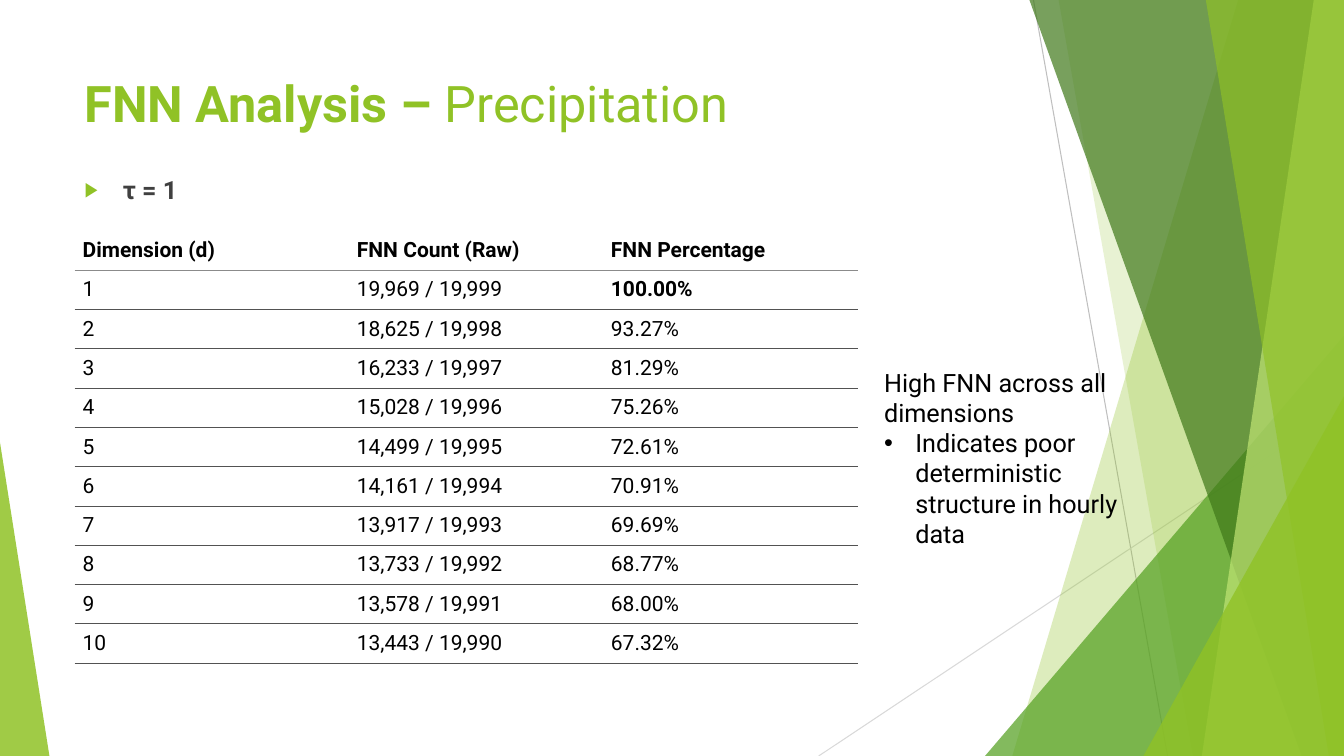
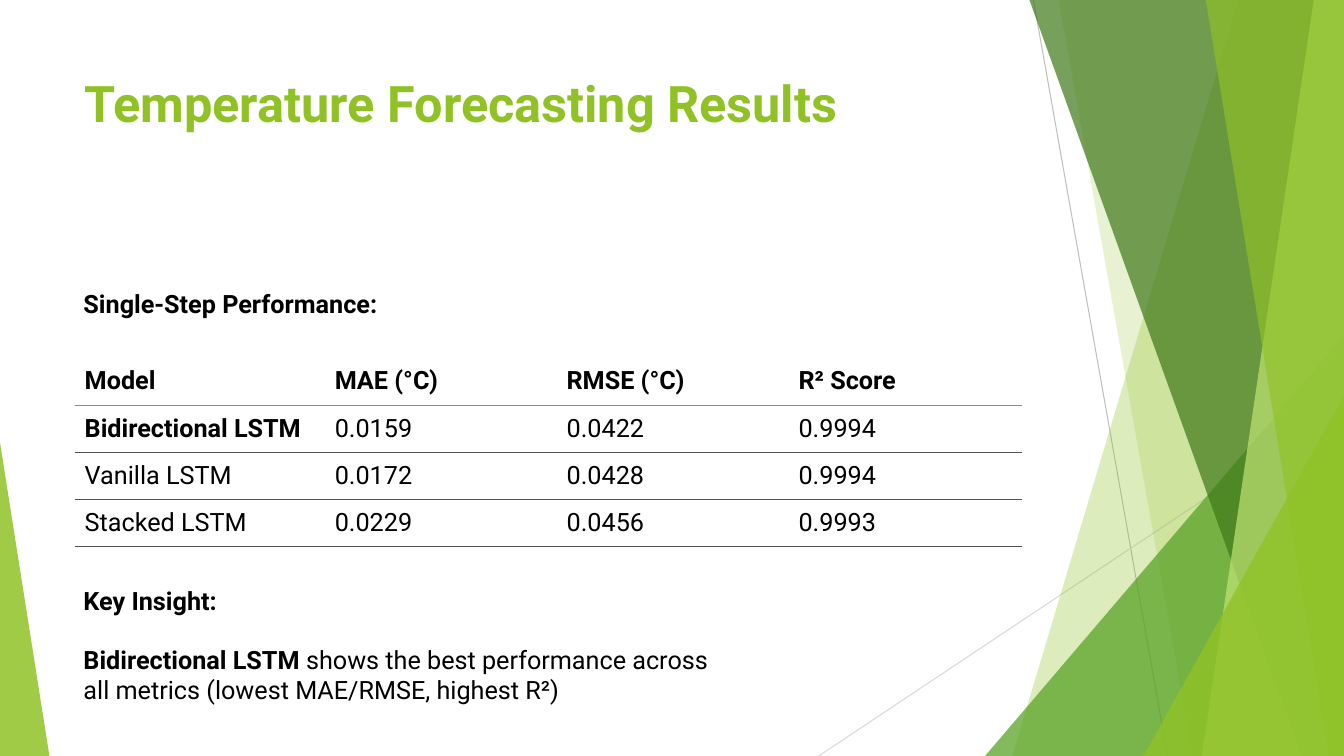
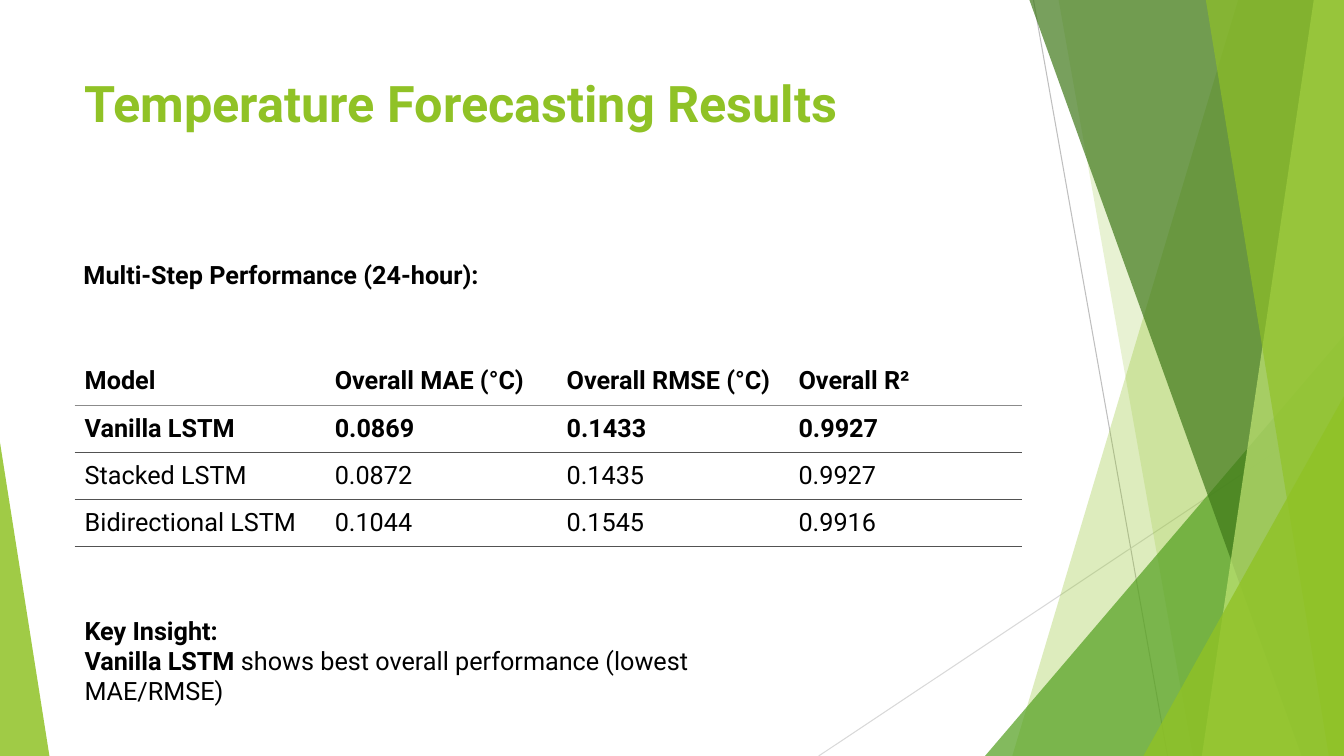
from dataclasses import dataclass

from lxml.etree import SubElement
from pptx import Presentation
from pptx.dml.color import RGBColor
from pptx.enum.shapes import MSO_CONNECTOR, MSO_SHAPE
from pptx.enum.text import MSO_ANCHOR
from pptx.oxml import parse_xml
from pptx.oxml.ns import nsdecls, qn
from pptx.shapes.autoshape import Shape
from pptx.slide import Slide
from pptx.table import _Cell as Cell
from pptx.text.text import _Paragraph as Paragraph
from pptx.util import Inches, Pt

Point = tuple[float, float]
Box = tuple[float, float, float, float]


@dataclass(frozen=True)
class Theme:
    width: float = 13.33
    height: float = 7.5
    font: str = "Roboto"
    lime: str = "90C226"
    green: str = "54A021"
    forest: str = "3F7819"
    pale_lime: str = "C0E474"
    ink: str = "000000"
    soft_ink: str = "404040"
    ray: str = "BFBFBF"
    light_ray: str = "D9D9D9"
    header_rule: str = "8B8B8B"
    row_rule: str = "525252"
    title_size: float = 36
    body_size: float = 18
    dense_size: float = 15
    ray_width: float = 0.75
    rule_width: float = 0.48
    plain_table: str = "{2D5ABB26-0587-4C30-8999-92F81FD0307C}"


THEME = Theme()


@dataclass(frozen=True)
class Ray:
    start: Point
    end: Point
    color: str


@dataclass(frozen=True)
class Facet:
    top_left: float
    bottom_left: float
    color: str
    opacity: int


@dataclass(frozen=True)
class Wedge:
    box: Box
    apex: float
    color: str
    opacity: int


@dataclass(frozen=True)
class Bullet:
    mark: str
    indent: float
    color: str
    percent: int = 100


@dataclass(frozen=True)
class Line:
    bold: str = ""
    regular: str = ""
    color: str = THEME.ink
    size: float = THEME.body_size
    bullet: Bullet | None = None
    leading: float | None = None
    space: float = 0


@dataclass(frozen=True)
class Grid:
    box: Box
    columns: tuple[float, ...]
    rows: tuple[tuple[str, ...], ...]
    highlights: tuple[tuple[int, int], ...]
    size: float = THEME.body_size
    first_inset: float = 0.1
    inset: float = 0.08


RAYS = (
    Ray((10.25, 0), (11.58, THEME.height), THEME.ray),
    Ray((THEME.width, 4.03), (8.12, THEME.height), THEME.light_ray),
)
BACKDROP = (
    Facet(12.28, 10.04, THEME.lime, 30),
    Facet(10.5, 11.83, THEME.lime, 20),
    Wedge((9.77, 3.33, 3.56, 4.17), 1, THEME.green, 72),
    Facet(10.21, 12.91, THEME.forest, 70),
    Facet(13.03, 11.92, THEME.pale_lime, 70),
    Facet(11.96, 13.18, THEME.lime, 65),
    Wedge((11.34, 3.93, 1.99, 3.57), 1, THEME.lime, 80),
    Wedge((0, 4.39, 0.49, 3.11), 0, THEME.lime, 85),
)
TITLE_BOX: Box = (0.74, 0.67, 9.4, 1.44)
RESULTS_BOX: Box = (0.74, 3.55, 9.4, 1.87)
RESULTS_COLUMNS = (2.5, 2.3, 2.3, 2.3)
ARROW = Bullet("▶", 0.38, THEME.lime, 80)
DOT = Bullet("•", 0.31, THEME.ink)
LEADING = 21.4
SPACE = 10.3

FNN_GRID = Grid(
    (0.74, 2.29, 7.77, 4.27),
    (2.73, 2.52, 2.52),
    (
        ("Dimension (d)", "FNN Count (Raw)", "FNN Percentage"),
        ("1", "19,969 / 19,999", "100.00%"),
        ("2", "18,625 / 19,998", "93.27%"),
        ("3", "16,233 / 19,997", "81.29%"),
        ("4", "15,028 / 19,996", "75.26%"),
        ("5", "14,499 / 19,995", "72.61%"),
        ("6", "14,161 / 19,994", "70.91%"),
        ("7", "13,917 / 19,993", "69.69%"),
        ("8", "13,733 / 19,992", "68.77%"),
        ("9", "13,578 / 19,991", "68.00%"),
        ("10", "13,443 / 19,990", "67.32%"),
    ),
    ((1, 2),),
    THEME.dense_size,
    0.08,
    0.07,
)
SINGLE_STEP_GRID = Grid(
    RESULTS_BOX,
    RESULTS_COLUMNS,
    (
        ("Model", "MAE (°C)", "RMSE (°C)", "R² Score"),
        ("Bidirectional LSTM", "0.0159", "0.0422", "0.9994"),
        ("Vanilla LSTM", "0.0172", "0.0428", "0.9994"),
        ("Stacked LSTM", "0.0229", "0.0456", "0.9993"),
    ),
    ((1, 0),),
)
MULTI_STEP_GRID = Grid(
    RESULTS_BOX,
    RESULTS_COLUMNS,
    (
        ("Model", "Overall MAE (°C)", "Overall RMSE (°C)", "Overall R²"),
        ("Vanilla LSTM", "0.0869", "0.1433", "0.9927"),
        ("Stacked LSTM", "0.0872", "0.1435", "0.9927"),
        ("Bidirectional LSTM", "0.1044", "0.1545", "0.9916"),
    ),
    tuple((1, column) for column in range(4)),
)


def paint(shape: Shape, color: str, opacity: int) -> None:
    shape.shadow.inherit = False
    shape.line.fill.background()
    shape.fill.solid()
    shape.fill.fore_color.rgb = RGBColor.from_string(color)
    tint = shape.fill._xPr.find(qn("a:solidFill"))[0]
    SubElement(tint, qn("a:alpha"), val=str(opacity * 1000))


def draw_ray(slide: Slide, ray: Ray) -> None:
    ends = (Inches(value) for value in ray.start + ray.end)
    connector = slide.shapes.add_connector(MSO_CONNECTOR.STRAIGHT, *ends)
    connector.line.color.rgb = RGBColor.from_string(ray.color)
    connector.line.width = Pt(THEME.ray_width)
    SubElement(connector._element.spPr, qn("a:effectLst"))


def draw_facet(slide: Slide, facet: Facet) -> None:
    outline = slide.shapes.build_freeform(Inches(facet.top_left), 0)
    corners = (
        (THEME.width, 0),
        (THEME.width, THEME.height),
        (facet.bottom_left, THEME.height),
    )
    outline.add_line_segments([(Inches(x), Inches(y)) for x, y in corners])
    paint(outline.convert_to_shape(), facet.color, facet.opacity)


def draw_wedge(slide: Slide, wedge: Wedge) -> None:
    triangle = slide.shapes.add_shape(
        MSO_SHAPE.ISOSCELES_TRIANGLE, *map(Inches, wedge.box)
    )
    triangle.adjustments[0] = wedge.apex
    paint(triangle, wedge.color, wedge.opacity)


def draw_backdrop(slide: Slide) -> None:
    for ray in RAYS:
        draw_ray(slide, ray)
    for part in BACKDROP:
        if isinstance(part, Facet):
            draw_facet(slide, part)
        else:
            draw_wedge(slide, part)


def add_bullet(paragraph: Paragraph, bullet: Bullet) -> None:
    properties = paragraph._p.get_or_add_pPr()
    indent = Inches(bullet.indent)
    properties.set("marL", str(indent))
    properties.set("indent", str(-indent))
    tint = SubElement(properties, qn("a:buClr"))
    SubElement(tint, qn("a:srgbClr"), val=bullet.color)
    SubElement(properties, qn("a:buSzPct"), val=str(bullet.percent * 1000))
    SubElement(properties, qn("a:buFont"), typeface="Arial")
    SubElement(properties, qn("a:buChar"), char=bullet.mark)


def write_line(paragraph: Paragraph, line: Line) -> None:
    paragraph.text = line.bold
    bold_count = len(paragraph.runs)
    if line.regular:
        paragraph.add_run().text = line.regular
    for index, run in enumerate(paragraph.runs):
        run.font.name = THEME.font
        run.font.size = Pt(line.size)
        run.font.bold = index < bold_count
        run.font.color.rgb = RGBColor.from_string(line.color)
    if line.leading:
        paragraph.line_spacing = Pt(line.leading)
    if line.space:
        paragraph.space_before = paragraph.space_after = Pt(line.space)
    if line.bullet:
        add_bullet(paragraph, line.bullet)


def draw_text(slide: Slide, box: Box, *lines: Line) -> None:
    frame = slide.shapes.add_textbox(*map(Inches, box)).text_frame
    frame.word_wrap = True
    for index, line in enumerate(lines):
        paragraph = frame.add_paragraph() if index else frame.paragraphs[0]
        write_line(paragraph, line)


def rule_cell(cell: Cell, row: int) -> None:
    cell.fill.background()
    below = THEME.row_rule if row else THEME.header_rule
    above = THEME.header_rule if row == 1 else THEME.row_rule
    edges = [("lnT", above), ("lnB", below)] if row else [("lnB", below)]
    for position, (edge, color) in enumerate(edges):
        border = parse_xml(
            f'<a:{edge} {nsdecls("a")} w="{Pt(THEME.rule_width)}">'
            f'<a:solidFill><a:srgbClr val="{color}"/></a:solidFill></a:{edge}>'
        )
        cell._tc.get_or_add_tcPr().insert(position, border)


def draw_grid(slide: Slide, grid: Grid) -> None:
    row_count = len(grid.rows)
    table = slide.shapes.add_table(
        row_count, len(grid.columns), *map(Inches, grid.box)
    ).table
    table._tbl.tblPr.find(qn("a:tableStyleId")).text = THEME.plain_table
    table.horz_banding = False
    for column, width in zip(table.columns, grid.columns):
        column.width = Inches(width)
    for row, values in enumerate(grid.rows):
        table.rows[row].height = Inches(grid.box[3] / row_count)
        for column, value in enumerate(values):
            cell = table.cell(row, column)
            cell.vertical_anchor = MSO_ANCHOR.MIDDLE
            cell.margin_left = Inches(grid.inset if column else grid.first_inset)
            cell.margin_right = Inches(grid.inset)
            cell.margin_top = cell.margin_bottom = Inches(grid.inset)
            strong = row == 0 or (row, column) in grid.highlights
            content = (
                Line(bold=value, size=grid.size)
                if strong
                else Line(regular=value, size=grid.size)
            )
            write_line(cell.text_frame.paragraphs[0], content)
            rule_cell(cell, row)


def start_slide(deck: Presentation, title: str, topic: str = "") -> Slide:
    slide = deck.slides.add_slide(deck.slide_layouts[6])
    draw_backdrop(slide)
    draw_text(
        slide, TITLE_BOX, Line(title, topic, THEME.lime, THEME.title_size)
    )
    return slide


def build_precipitation(deck: Presentation) -> None:
    slide = start_slide(deck, "FNN Analysis – ", "Precipitation")
    draw_text(
        slide,
        (0.74, 1.68, 9.4, 0.43),
        Line("τ = 1", color=THEME.soft_ink, bullet=ARROW),
    )
    draw_text(
        slide,
        (8.67, 3.59, 2.78, 1.92),
        Line(regular="High FNN across all dimensions"),
        Line(
            regular="Indicates poor deterministic structure in hourly data",
            bullet=DOT,
        ),
    )
    draw_grid(slide, FNN_GRID)


def build_single_step(deck: Presentation) -> None:
    slide = start_slide(deck, "Temperature Forecasting Results")
    draw_text(slide, (0.73, 2.81, 6.67, 0.4), Line("Single-Step Performance:"))
    draw_grid(slide, SINGLE_STEP_GRID)
    draw_text(
        slide,
        (0.73, 5.76, 6.67, 1.27),
        Line("Key Insight:", leading=LEADING, space=SPACE),
        Line(
            "Bidirectional LSTM",
            " shows the best performance across all metrics"
            " (lowest MAE/RMSE, highest R²)",
            leading=LEADING,
            space=SPACE,
        ),
    )


def build_multi_step(deck: Presentation) -> None:
    slide = start_slide(deck, "Temperature Forecasting Results")
    draw_text(
        slide,
        (0.73, 2.53, 6.67, 0.4),
        Line("Multi-Step Performance (24-hour):", leading=LEADING, space=SPACE),
    )
    draw_text(
        slide,
        (0.74, 6.05, 6.67, 1.01),
        Line(
            "Key Insight:\vVanilla LSTM",
            " shows best overall performance (lowest MAE/RMSE)",
        ),
    )
    draw_grid(slide, MULTI_STEP_GRID)


def main() -> None:
    deck = Presentation()
    deck.slide_width = Inches(THEME.width)
    deck.slide_height = Inches(THEME.height)
    build_precipitation(deck)
    build_single_step(deck)
    build_multi_step(deck)
    deck.save("out.pptx")


if __name__ == "__main__":
    main()
